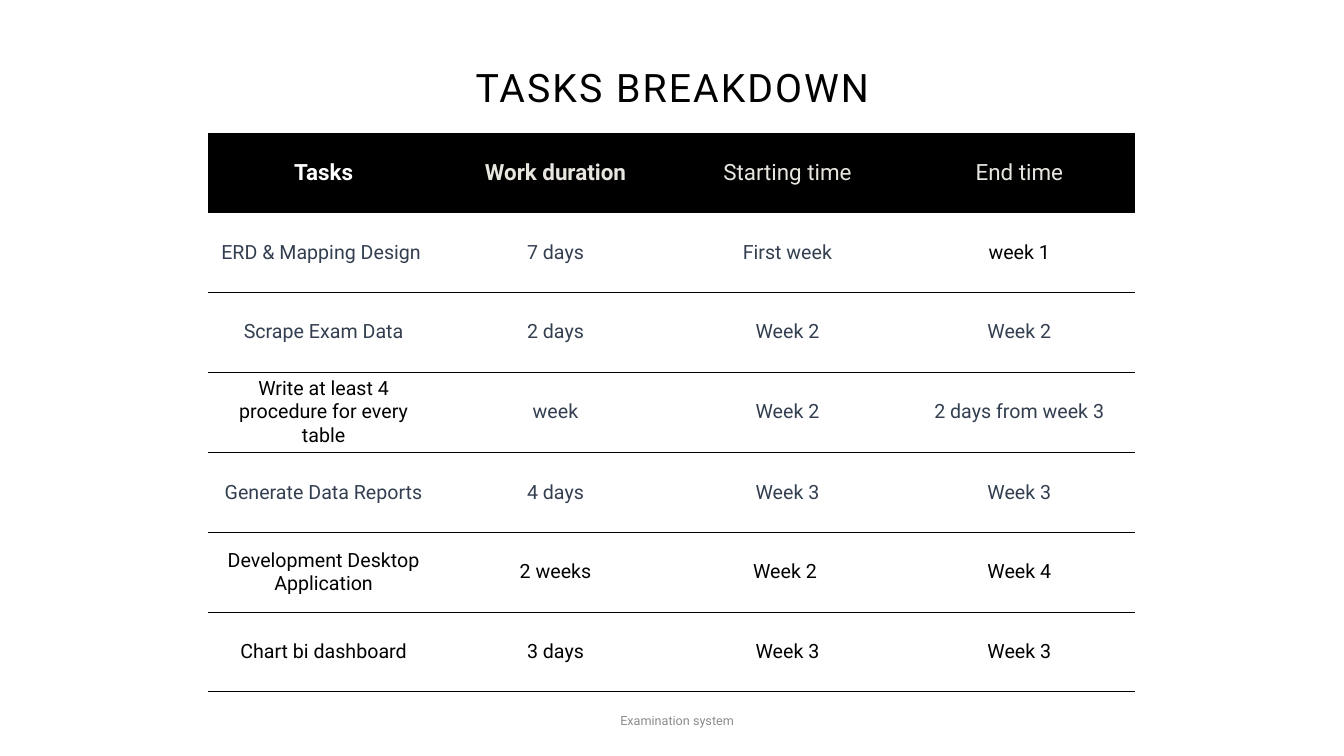
from pptx import Presentation
from pptx import util as u
from pptx.dml.color import RGBColor
from pptx.enum import text
from pptx.oxml import parse_xml
from pptx.oxml.ns import nsdecls

FONT = "Roboto"
BLACK, WHITE, CREAM, SLATE, GRAY = "000000", "FFFFFF", "E9E6DF", "333F50", "8C8C8C"
WIDE, HIGH = 13.33, 7.5
COL, ROW = 2.3, 0.79
LEFT, TOP = 2.06, 1.32
PLAIN = "{2D5ABB26-0587-4C30-8999-92F81FD0307C}"  # table style without grid

HEAD = ["Tasks", "Work duration", "Starting time", "End time"]
# Each task row with the colours of its cells
TASKS = [
    (["ERD & Mapping Design ", "7 days", "First week", "week 1"], [SLATE] * 3 + [BLACK]),
    (["Scrape Exam Data", "2 days", "Week 2", "Week 2"], [SLATE] * 4),
    (["Write at least 4 procedure for every table", "week", "Week 2",
      "2 days from week 3"], [BLACK] + [SLATE] * 3),
    (["Generate Data Reports", "4 days", "Week 3", "Week 3"], [SLATE] * 4),
    (["Development Desktop Application", "2 weeks", "Week 2 ", "Week 4"], [BLACK] * 4),
    (["Chart bi dashboard", "3 days", "Week 3", "Week 3"], [BLACK] * 4),
]


def color(code):
    return RGBColor.from_string(code)


def style(frame, words, size, code, bold=False):
    """Fill a text frame with one centred line of text."""
    frame.text = words
    para = frame.paragraphs[0]
    para.alignment = text.PP_ALIGN.CENTER
    run = para.runs[0]
    run.font.name = FONT
    run.font.size = u.Pt(size)
    run.font.bold = bold
    run.font.color.rgb = color(code)
    return run


def label(slide, box, words, size, code):
    shape = slide.shapes.add_textbox(*[u.Inches(n) for n in box])
    frame = shape.text_frame
    frame.word_wrap = True
    frame.vertical_anchor = text.MSO_ANCHOR.MIDDLE
    return style(frame, words, size, code)


def rule(cell, side):
    """Draw a thin black border on one side of a cell."""
    cell._tc.get_or_add_tcPr().append(parse_xml(
        f'<a:{side} {nsdecls("a")} w="6350"><a:solidFill>'
        f'<a:srgbClr val="{BLACK}"/></a:solidFill></a:{side}>'))


def entry(cell, words, size, code, bold=False, fill=None):
    style(cell.text_frame, words, size, code, bold)
    cell.vertical_anchor = text.MSO_ANCHOR.MIDDLE
    for side in ("lnT", "lnB"):
        rule(cell, side)
    if fill:
        cell.fill.solid()
        cell.fill.fore_color.rgb = color(fill)
    else:
        cell.fill.background()


def plan(slide):
    rows, cols = len(TASKS) + 1, len(HEAD)
    box = LEFT, TOP, cols * COL, rows * ROW
    table = slide.shapes.add_table(rows, cols, *[u.Inches(n) for n in box]).table
    table.horz_banding = False
    table._tbl.tblPr.find("{*}tableStyleId").text = PLAIN
    # Header: first two names are bold
    for c, name in enumerate(HEAD):
        entry(table.cell(0, c), name, 16, CREAM if c else WHITE, c < 2, BLACK)
    # Tasks
    for r, (words, codes) in enumerate(TASKS, 1):
        for c, (word, code) in enumerate(zip(words, codes)):
            entry(table.cell(r, c), word, 14, code)


def main():
    deck = Presentation()
    deck.slide_width, deck.slide_height = u.Inches(WIDE), u.Inches(HIGH)
    slide = deck.slides.add_slide(deck.slide_layouts[6])
    # Title, with letters spaced out
    title = label(slide, (0.92, 0.14, 11.5, 1.45), "TASKS BREAKDOWN", 28, BLACK)
    title.font._element.set("spc", "150")
    title._r.getparent().get_or_add_pPr()
    # Schedule and footer
    plan(slide)
    label(slide, (4.42, 6.95, 4.59, 0.4), "Examination system", 9, GRAY)
    deck.save("out.pptx")


if __name__ == "__main__":
    main()
